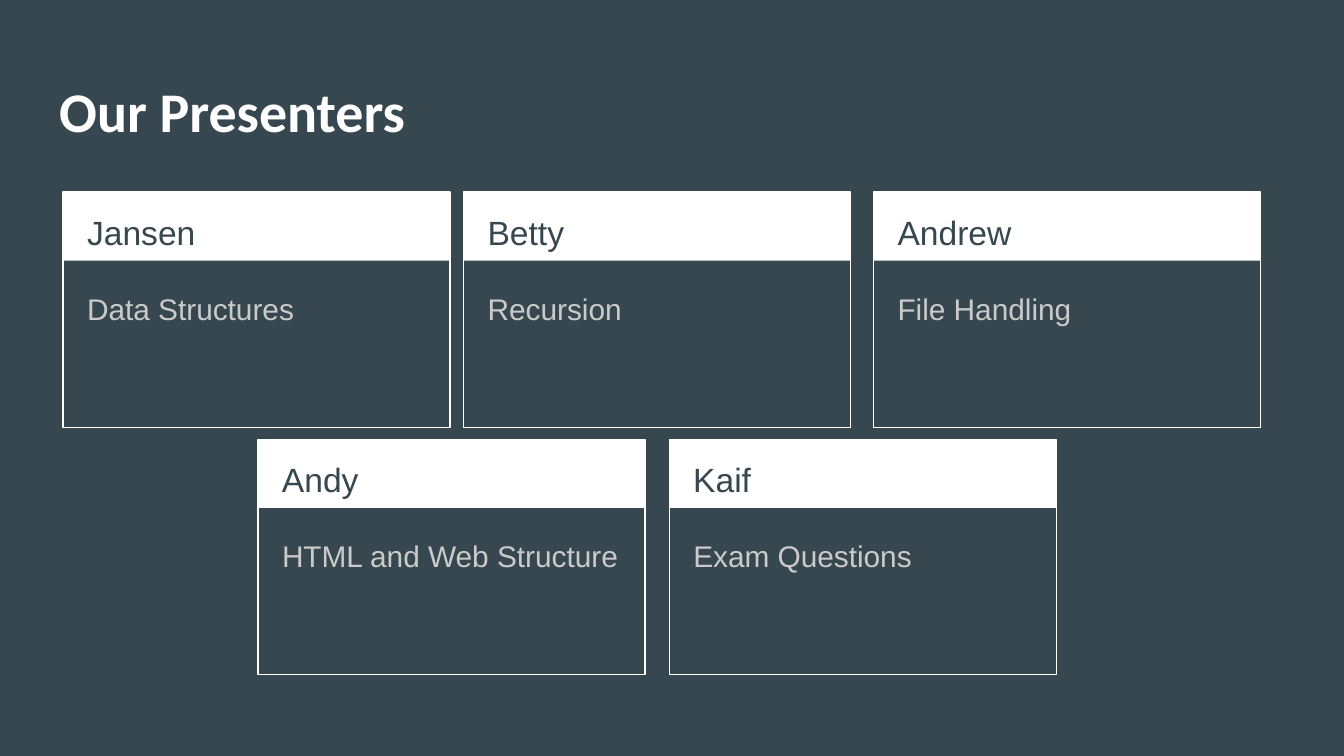
from pptx import Presentation
from pptx.dml.color import RGBColor
from pptx.enum.shapes import MSO_SHAPE
from pptx.enum.text import MSO_ANCHOR, MSO_AUTO_SIZE, PP_ALIGN
from pptx.util import Inches, Pt

COLORS = {"slate": "37474F", "white": "FFFFFF", "grey": "CACACA"}


def color(name):
    return RGBColor.from_string(COLORS[name])


def write(sp, text, *, size, fill, font="Arial", bold=False, spacing=1.0, after=0):
    tf = sp.text_frame
    tf.word_wrap = True
    tf.auto_size = MSO_AUTO_SIZE.NONE
    tf.vertical_anchor = MSO_ANCHOR.TOP
    tf.margin_left = tf.margin_right = Inches(0.1)
    tf.margin_top = tf.margin_bottom = Inches(0.1)
    p = tf.paragraphs[0]
    p.alignment = PP_ALIGN.LEFT
    p.line_spacing = spacing
    p.space_before = Pt(0)
    p.space_after = Pt(after)
    r = p.add_run()
    r.text = text
    r.font.name = font
    r.font.size = Pt(size)
    r.font.bold = bold
    r.font.color.rgb = color(fill)


# Slide in 16:9
prs = Presentation()
prs.slide_width = Inches(10)
prs.slide_height = Inches(10 * 9 / 16)
s = prs.slides.add_slide(prs.slide_layouts[5])
s.background.fill.solid()
s.background.fill.fore_color.rgb = color("slate")

# Title
title = s.shapes.title
title.left, title.top = Inches(0.34), Inches(0.47)
title.width, title.height = Inches(9.32), Inches(0.63)
write(title, "Our Presenters", size=30, fill="white", font="Calibri", bold=True)

# Presenter cards: three above, two below
CARD_W, CARD_H, HEADER_H = 2.88, 1.75, 0.51
ROWS = [
    (1.43, [(0.47, "Jansen", "Data Structures"),
            (3.45, "Betty", "Recursion"),
            (6.5, "Andrew", "File Handling")]),
    (3.27, [(1.92, "Andy", "HTML and Web Structure"),
            (4.98, "Kaif", "Exam Questions")]),
]
for top, cards in ROWS:
    for left, name, topic in cards:
        # Header band and outline
        card = s.shapes.add_group_shape()
        band, frame = [
            card.shapes.add_shape(MSO_SHAPE.RECTANGLE, Inches(left), Inches(top),
                                  Inches(CARD_W), Inches(height))
            for height in (HEADER_H, CARD_H)
        ]
        band.shadow.inherit = frame.shadow.inherit = False
        band.fill.solid()
        band.fill.fore_color.rgb = color("white")
        band.line.fill.background()
        frame.fill.background()
        frame.line.color.rgb = color("white")
        frame.line.width = Pt(0.75)

        # Name and topic
        sp = s.shapes.add_textbox(Inches(left + 0.08), Inches(top),
                                  Inches(2.73), Inches(0.5))
        write(sp, name, size=18, fill="slate", spacing=1.15)
        sp = s.shapes.add_textbox(Inches(left + 0.08), Inches(top + 0.59),
                                  Inches(2.71), Inches(1.15))
        write(sp, topic, size=16, fill="grey", spacing=1.15, after=16)

prs.save("out.pptx")
